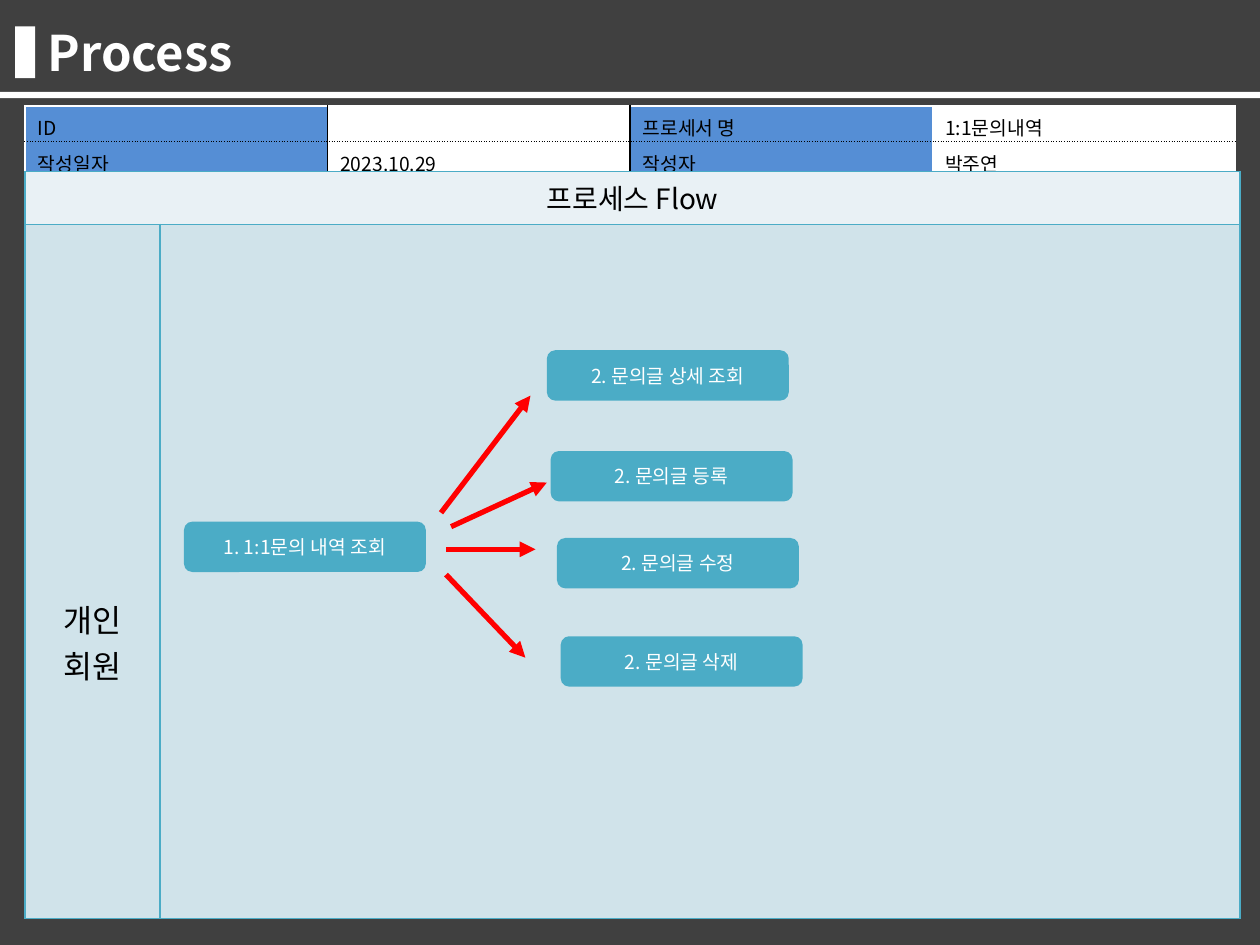
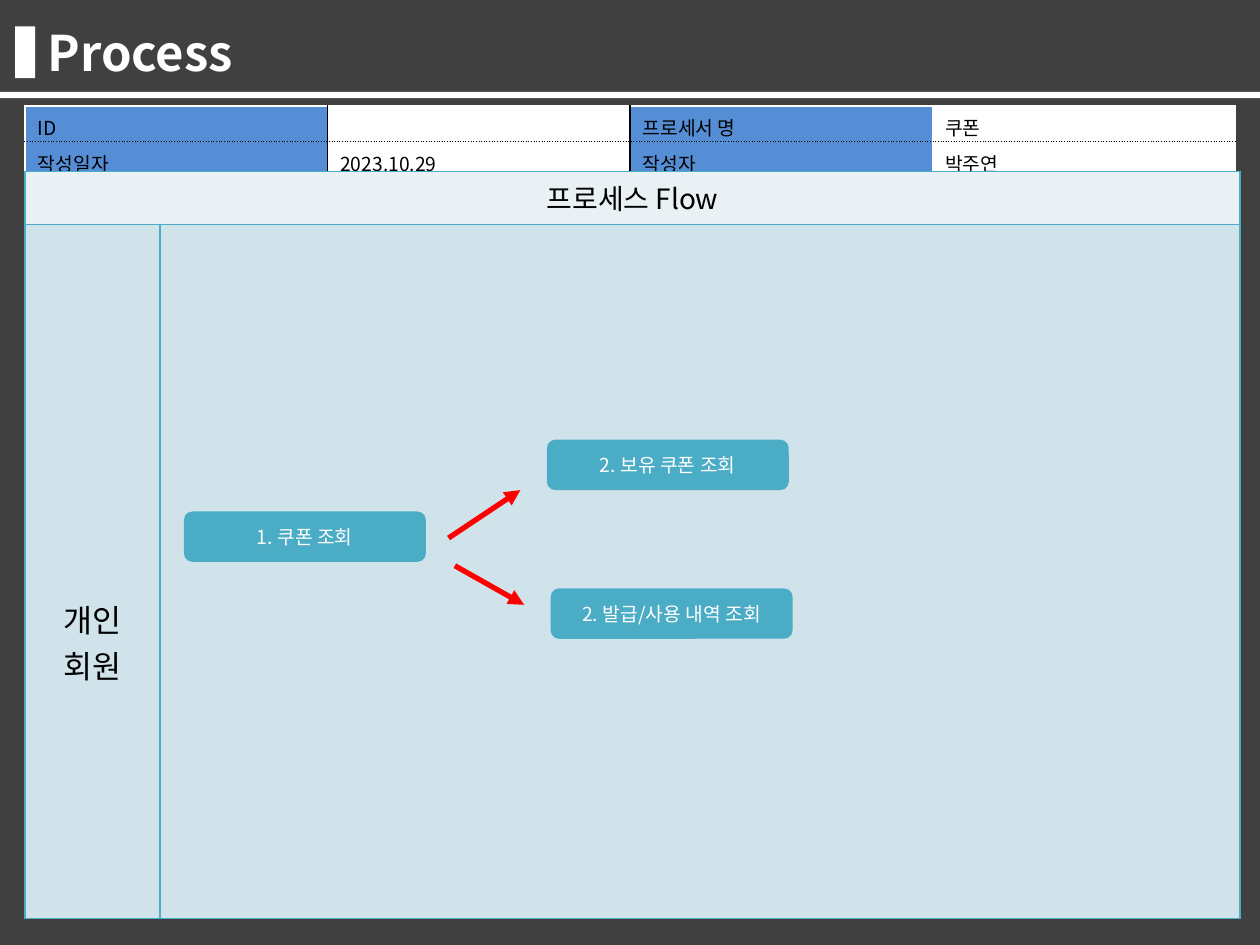
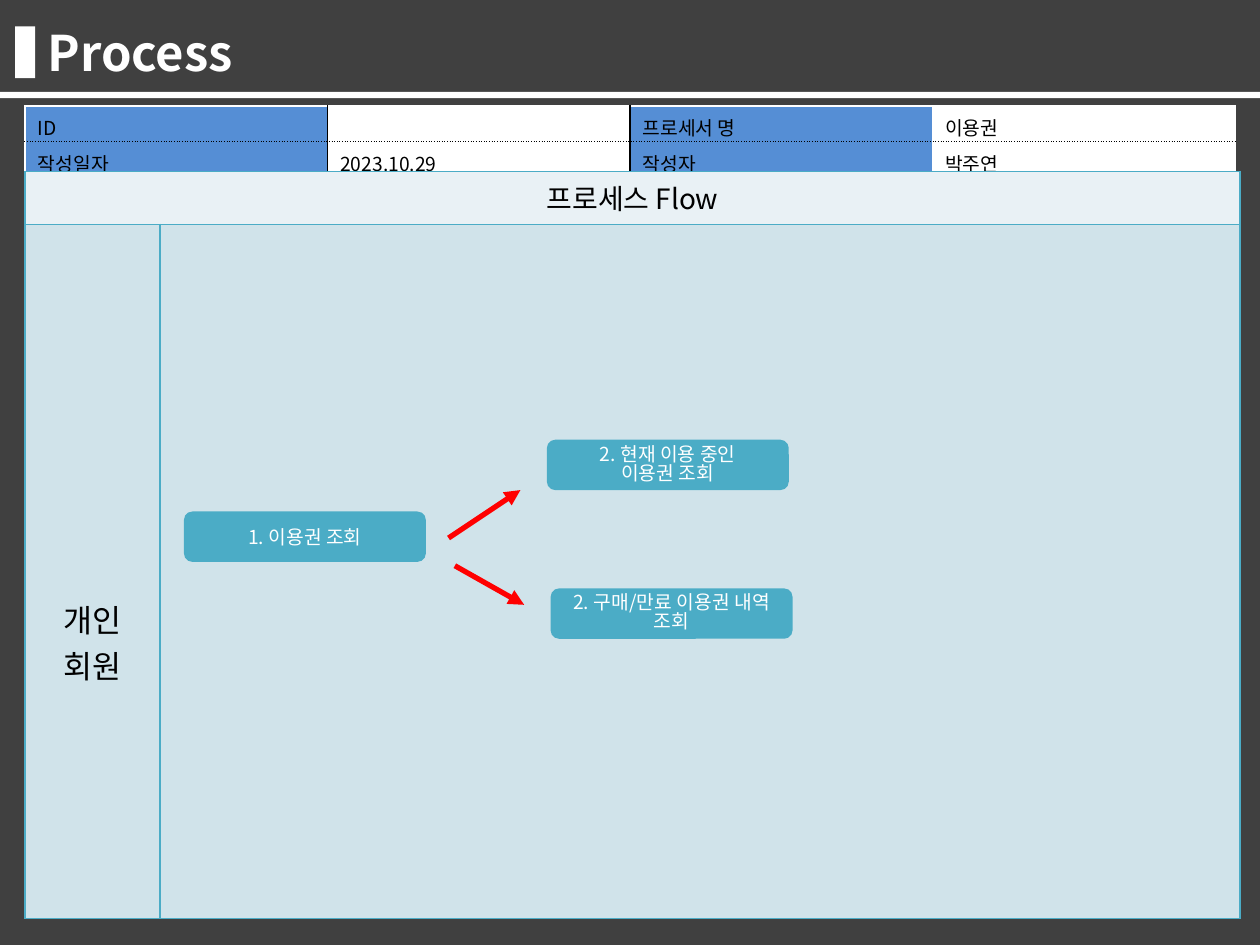
from dataclasses import dataclass

from lxml.etree import SubElement
from pptx import Presentation
from pptx.dml.color import RGBColor
from pptx.enum.shapes import MSO_CONNECTOR as Connector, MSO_SHAPE as Shape
from pptx.enum.text import MSO_ANCHOR as Anchor, MSO_AUTO_SIZE as AutoSize, PP_ALIGN as Align
from pptx.oxml.ns import qn
from pptx.util import Inches, Pt


@dataclass(frozen=True)
class Theme:
    font: str = "Noto Sans CJK KR"
    background: str = "404040"
    white: str = "FFFFFF"
    black: str = "000000"
    label: str = "558ED5"
    teal: str = "4BACC6"
    flow_header: str = "E9F1F5"
    flow_body: str = "D0E3EA"
    arrow: str = "FF0000"
    title_size: int = 28
    lane_size: int = 18
    header_size: int = 16
    body_size: int = 11


THEME = Theme()
STEP_WIDTH, STEP_HEIGHT = 1.92, 0.4
TWO_LINE_SPACING = 0.82

FORK_ARROWS = [(3.56, 4.27, 4.13, 3.89), (3.61, 4.49, 4.16, 4.8)]
PROCESSES = [
    {
        "name": "1:1문의내역",
        "steps": [
            ("1. 1:1문의 내역 조회", 1.46, 4.14, 1),
            ("2. 문의글 상세 조회", 4.34, 2.78, 1),
            ("2. 문의글 등록", 4.37, 3.58, 1),
            ("2. 문의글 수정", 4.42, 4.27, 1),
            ("2. 문의글 삭제", 4.45, 5.05, 1),
        ],
        "arrows": [
            (3.5, 4.07, 4.21, 3.14),
            (3.58, 4.18, 4.34, 3.83),
            (3.54, 4.36, 4.25, 4.36),
            (3.54, 4.56, 4.17, 5.22),
        ],
    },
    {
        "name": "쿠폰",
        "steps": [
            ("1. 쿠폰 조회", 1.46, 4.06, 1),
            ("2. 보유 쿠폰 조회", 4.34, 3.49, 1),
            ("2. 발급/사용 내역 조회", 4.37, 4.67, 1),
        ],
        "arrows": FORK_ARROWS,
    },
    {
        "name": "이용권",
        "steps": [
            ("1. 이용권 조회", 1.46, 4.06, 1),
            ("2. 현재 이용 중인\n이용권 조회", 4.34, 3.49, TWO_LINE_SPACING),
            ("2. 구매/만료 이용권 내역 조회", 4.37, 4.67, TWO_LINE_SPACING),
        ],
        "arrows": FORK_ARROWS,
    },
]


def color(value):
    return RGBColor.from_string(value)


def write(text_frame, text, size, text_color, align=Align.LEFT, bold=False, spacing=1):
    text_frame.text = text
    for paragraph in text_frame.paragraphs:
        paragraph.alignment = align
        if spacing != 1:
            paragraph.line_spacing = spacing
        font = paragraph.font
        font.size = Pt(size)
        font.bold = bold
        font.color.rgb = color(text_color)
        font.name = THEME.font
        SubElement(font._element, qn("a:ea"), typeface=THEME.font)
        if not paragraph.runs:
            SubElement(paragraph._p, qn("a:endParaRPr"), sz=str(size * 100))


def add_block(slide, kind, left, top, width, height, fill):
    shape = slide.shapes.add_shape(kind, Inches(left), Inches(top), Inches(width), Inches(height))
    shape.shadow.inherit = False
    shape.fill.solid()
    shape.fill.fore_color.rgb = color(fill)
    shape.line.fill.background()
    return shape


def add_title(slide, text):
    add_block(slide, Shape.RECTANGLE, 0, 0, 10, 7.5, THEME.background)
    title = slide.shapes.add_textbox(Inches(0.28), Inches(0.13), Inches(8.98), Inches(0.57))
    text_frame = title.text_frame
    text_frame.word_wrap = True
    text_frame.auto_size = AutoSize.NONE
    text_frame.vertical_anchor = Anchor.MIDDLE
    write(text_frame, text, THEME.title_size, THEME.white, bold=True)
    add_block(slide, Shape.RECTANGLE, 0.12, 0.21, 0.16, 0.41, THEME.white)
    add_block(slide, Shape.RECTANGLE, 0, 0.73, 10, 0.05, THEME.white)


def add_plain_table(slide, left, top, widths, heights):
    frame = slide.shapes.add_table(
        len(heights), len(widths), Inches(left), Inches(top),
        Inches(sum(widths)), Inches(sum(heights)))
    table = frame.table
    table.first_row = table.horz_banding = False
    for column, width in zip(table.columns, widths):
        column.width = Inches(width)
    for row, height in zip(table.rows, heights):
        row.height = Inches(height)
    return table


def paint_cell(cell, fill, left, right, top, bottom):
    properties = cell._tc.get_or_add_tcPr()
    sides = {"a:lnL": left, "a:lnR": right, "a:lnT": top, "a:lnB": bottom}
    for tag, (line_color, dash) in sides.items():
        line = SubElement(properties, qn(tag), w=str(Pt(1)))
        solid = SubElement(line, qn("a:solidFill"))
        SubElement(solid, qn("a:srgbClr"), val=line_color)
        SubElement(line, qn("a:prstDash"), val=dash)
    cell.fill.solid()
    cell.fill.fore_color.rgb = color(fill)


def add_info_table(slide, process_name):
    rows = [
        ["ID", "", "프로세서 명", process_name],
        ["작성일자", "2023.10.29", "작성자", "박주연"],
    ]
    white, black = (THEME.white, "solid"), (THEME.black, "solid")
    column_edges = [white, black, black, white, white]
    row_edges = [white, (THEME.black, "sysDot"), black]
    table = add_plain_table(slide, 0.2, 0.84, [2.4] * 4, [0.28] * 2)
    for r, row in enumerate(rows):
        for c, text in enumerate(row):
            cell = table.cell(r, c)
            cell.margin_top, cell.margin_bottom = Inches(0.06), 0
            write(cell.text_frame, text, THEME.body_size, THEME.black)
            fill = THEME.white if c % 2 else THEME.label
            paint_cell(cell, fill, *column_edges[c:c + 2], *row_edges[r:r + 2])


def add_flow_table(slide):
    table = add_plain_table(slide, 0.2, 1.36, [1.07, 8.57], [0.42, 5.51])
    edge = (THEME.teal, "solid")
    for r, fill in enumerate([THEME.flow_header, THEME.flow_body]):
        for c in range(2):
            paint_cell(table.cell(r, c), fill, edge, edge, edge, edge)
    header, lane = table.cell(0, 0), table.cell(1, 0)
    header.merge(table.cell(0, 1))
    write(header.text_frame, "프로세스 Flow", THEME.header_size, THEME.black, Align.CENTER)
    lane.margin_top = Inches(2.95)
    write(lane.text_frame, "개인\n회원", THEME.lane_size, THEME.black, Align.CENTER)


def add_step(slide, text, left, top, spacing):
    step = add_block(slide, Shape.ROUNDED_RECTANGLE, left, top, STEP_WIDTH, STEP_HEIGHT, THEME.teal)
    step.text_frame.word_wrap = True
    step.text_frame.vertical_anchor = Anchor.MIDDLE
    write(step.text_frame, text, THEME.body_size, THEME.white, Align.CENTER, spacing=spacing)


def add_arrow(slide, *ends):
    arrow = slide.shapes.add_connector(Connector.STRAIGHT, *map(Inches, ends))
    arrow.line.color.rgb = color(THEME.arrow)
    arrow.line.width = Pt(3)
    SubElement(arrow.line._get_or_add_ln(), qn("a:tailEnd"), type="triangle")
    SubElement(arrow._element.spPr, qn("a:effectLst"))


def add_process_slide(presentation, process):
    slide = presentation.slides.add_slide(presentation.slide_layouts[6])
    add_title(slide, "Process")
    add_info_table(slide, process["name"])
    add_flow_table(slide)
    for step in process["steps"]:
        add_step(slide, *step)
    for arrow in process["arrows"]:
        add_arrow(slide, *arrow)


def main():
    presentation = Presentation()
    presentation.slide_width = Inches(10)
    presentation.slide_height = Inches(7.5)
    for process in PROCESSES:
        add_process_slide(presentation, process)
    presentation.save("out.pptx")


if __name__ == "__main__":
    main()
